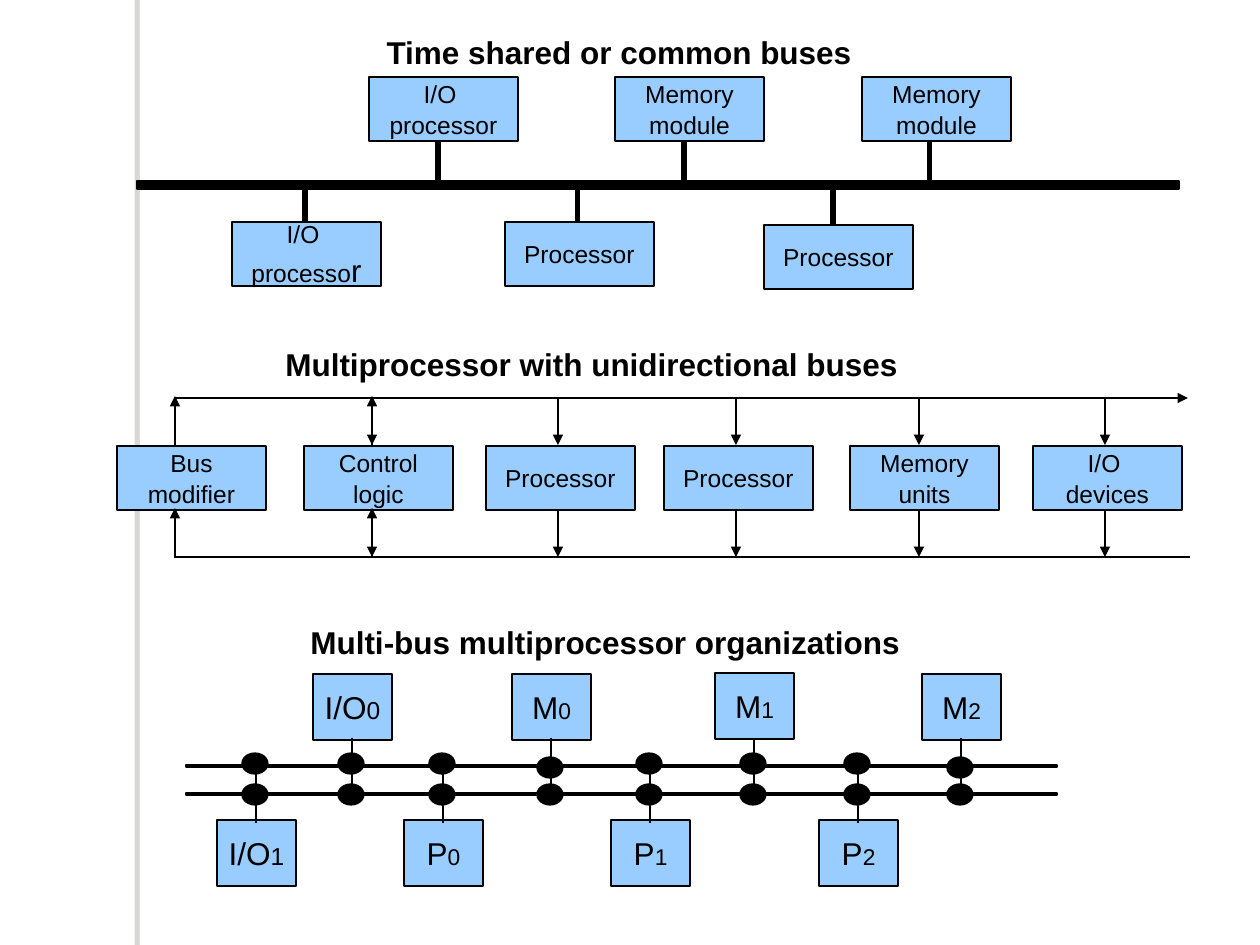
from dataclasses import dataclass

from lxml import etree
from pptx import Presentation
from pptx import util as u
from pptx.dml import color
from pptx.enum import shapes, text
from pptx.oxml import ns

PX = 914400 / 126
COLORS = {"ink": "000000", "box": "99CCFF", "paper": "FFFFFF", "shade": "706B5F"}
FONT = "Arial"
RECT = shapes.MSO_SHAPE.RECTANGLE
OVAL = shapes.MSO_SHAPE.OVAL
MODULE_SIZE = (149, 64)
NODE_SIZE = (79, 66)
DOT_SIZE = (26, 21)
Span = tuple[str, int]


@dataclass
class Module:
    lines: list[list[Span]]
    left: int
    top: int
    stem: int


@dataclass
class Node:
    name: str
    index: str
    index_size: int
    stem: int
    top: int
    dot_top: int = 753


def px(value: int) -> u.Emu:
    return u.Emu(round(value * PX))


def rgb(name: str) -> color.RGBColor:
    return color.RGBColor.from_string(COLORS[name])


def add_span(para, content: str, size: int, bold: bool = False) -> None:
    span = para.add_run()
    span.text = content
    span.font.name = FONT
    span.font.size = u.Pt(size)
    span.font.bold = bold
    span.font.color.rgb = rgb("ink")


def add_figure(page, kind, left: int, top: int, width: int, height: int, fill: str = "ink"):
    figure = page.shapes.add_shape(kind, px(left), px(top), px(width), px(height))
    figure.shadow.inherit = False
    figure.fill.solid()
    figure.fill.fore_color.rgb = rgb(fill)
    figure.line.color.rgb = rgb("ink")
    figure.line.width = u.Pt(0.75)
    return figure


def add_box(page, lines: list[list[Span]], left: int, top: int, size: tuple[int, int]) -> None:
    frame = add_figure(page, RECT, left, top, *size, fill="box").text_frame
    frame.word_wrap = False
    frame.vertical_anchor = text.MSO_ANCHOR.MIDDLE
    for number, line in enumerate(lines):
        para = frame.add_paragraph() if number else frame.paragraphs[0]
        para.alignment = text.PP_ALIGN.CENTER
        if number:
            para.space_before = u.Pt(1)
        for content, points in line:
            add_span(para, content, points)


def add_line(page, x1: int, y1: int, x2: int, y2: int,
             width: float = 0.75, arrow: bool = False) -> None:
    line = page.shapes.add_connector(
        shapes.MSO_CONNECTOR.STRAIGHT, px(x1), px(y1), px(x2), px(y2))
    line.line.color.rgb = rgb("ink")
    line.line.width = u.Pt(width)
    if arrow:
        etree.SubElement(line.line._get_or_add_ln(), ns.qn("a:tailEnd"), type="triangle")
    etree.SubElement(line._element.spPr, ns.qn("a:effectLst"))


def format_heading(box, content: str) -> None:
    frame = box.text_frame
    frame.word_wrap = True
    frame.auto_size = text.MSO_AUTO_SIZE.NONE
    frame.vertical_anchor = text.MSO_ANCHOR.TOP
    frame.paragraphs[0].alignment = text.PP_ALIGN.LEFT
    add_span(frame.paragraphs[0], content, 18, bold=True)


def add_heading(page, content: str, left: int, top: int) -> None:
    format_heading(page.shapes.add_textbox(px(left), px(top), px(785), px(83)), content)


def add_side_band(page) -> None:
    band = add_figure(page, RECT, 140, 0, 10, 945, fill="paper")
    band.line.fill.background()
    effects = band._element.spPr.find(ns.qn("a:effectLst"))
    shadow = etree.SubElement(effects, ns.qn("a:outerShdw"), blurRad="0",
                              dist="38100", dir="10800000", algn="ctr", rotWithShape="0")
    shade = etree.SubElement(shadow, ns.qn("a:srgbClr"), val=COLORS["shade"])
    etree.SubElement(shade, ns.qn("a:alpha"), val="25000")


def plain(*words: str) -> list[list[Span]]:
    return [[(word, 14)] for word in words]


def draw_common_bus(page) -> None:
    above = [
        Module(plain("I/O ", "processor"), 369, 77, 438),
        Module(plain("Memory", "module"), 615, 77, 684),
        Module(plain("Memory", "module"), 862, 77, 930),
    ]
    below = [
        Module([[("I/O ", 14)], [("processo", 14), ("r", 18)]], 232, 222, 305),
        Module(plain("Processor"), 505, 222, 578),
        Module(plain("Processor"), 764, 225, 833),
    ]
    for modules, start, end in ((above, 139, 181), (below, 183, 226)):
        for module in modules:
            add_line(page, module.stem, start, module.stem, end, width=2.89)
            add_box(page, module.lines, module.left, module.top, MODULE_SIZE)
    add_figure(page, RECT, 137, 181, 1042, 8)


def draw_unidirectional_buses(page) -> None:
    modules = [
        (Module(plain("Bus", "modifier"), 117, 446, 175), "up"),
        (Module(plain("Control", "logic"), 304, 446, 372), "up down"),
        (Module(plain("Processor"), 486, 446, 558), "down"),
        (Module(plain("Processor"), 664, 446, 736), "down"),
        (Module(plain("Memory", "units"), 850, 446, 919), "down"),
        (Module(plain("I/O ", "devices"), 1033, 446, 1105), "down"),
    ]
    add_line(page, 175, 398, 1188, 398, arrow=True)
    add_line(page, 1190, 557, 174, 557)
    for module, directions in modules:
        add_box(page, module.lines, module.left, module.top, MODULE_SIZE)
        for bus_side in (397, 509):
            if "up" in directions:
                add_line(page, module.stem, bus_side + 49, module.stem, bus_side - 1, arrow=True)
            if "down" in directions:
                add_line(page, module.stem, bus_side, module.stem, bus_side + 48, arrow=True)


def draw_multi_bus(page) -> None:
    above = [
        Node("I/O", "0", 14, 352, 674),
        Node("M", "0", 13, 551, 674, 757),
        Node("M", "1", 13, 754, 673),
        Node("M", "2", 13, 961, 674, 757),
    ]
    below = [
        Node("I/O", "1", 14, 256, 820),
        Node("P", "0", 13, 443, 820),
        Node("P", "1", 13, 650, 820),
        Node("P", "2", 13, 858, 820),
    ]
    for top in (765, 793):
        add_figure(page, RECT, 186, top, 871, 2)
    for nodes, start, end in ((above, 738, 794), (below, 823, 765)):
        for node in nodes:
            label = [[(node.name, 18), (node.index, node.index_size)]]
            add_box(page, label, node.stem - 39, node.top, NODE_SIZE)
            add_line(page, node.stem, start, node.stem, end)
            for top in (node.dot_top, 784):
                add_figure(page, OVAL, node.stem - 14, top, *DOT_SIZE)


def main() -> None:
    deck = Presentation()
    deck.slide_width, deck.slide_height = px(1260), px(945)
    page = deck.slides.add_slide(deck.slide_layouts[5])
    title = page.shapes.title
    title.left, title.top, title.width, title.height = px(374), px(27), px(694), px(50)
    format_heading(title, "Time shared or common buses")
    add_side_band(page)
    draw_common_bus(page)
    add_heading(page, "Multiprocessor with unidirectional buses", 273, 339)
    draw_unidirectional_buses(page)
    add_heading(page, "Multi-bus multiprocessor organizations", 298, 617)
    draw_multi_bus(page)
    deck.save("out.pptx")


if __name__ == "__main__":
    main()
